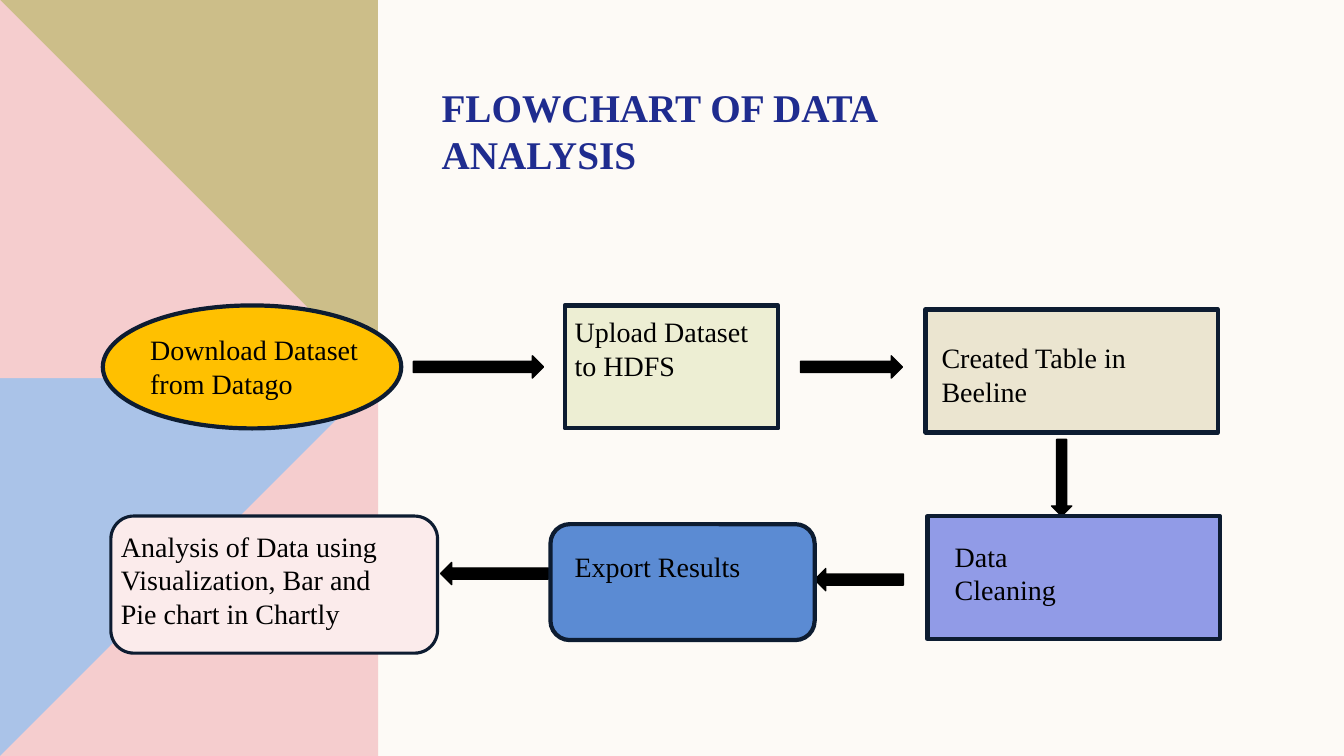
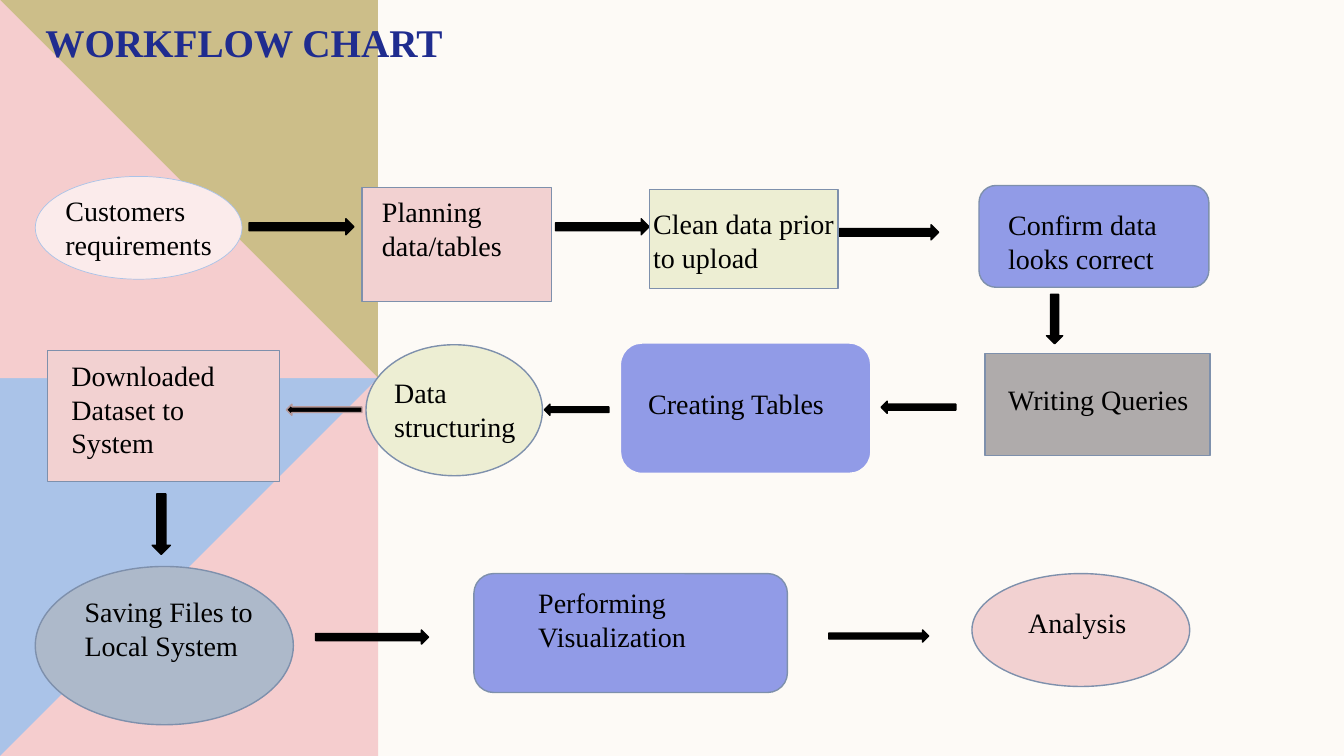
from pptx import Presentation
from pptx.dml.color import RGBColor
from pptx.enum.shapes import MSO_SHAPE as KIND
from pptx.enum.text import MSO_ANCHOR, PP_ALIGN
from pptx.util import Inches, Pt

FONT = "Times New Roman"
HEX = {
    "paper": "FDFAF6", "sky": "AAC3E8", "rose": "F5CDCE", "olive": "CCBE89",
    "title": "1F2C8F", "black": "000000", "navy": "0D1C31", "slate": "7E90AC",
    "gold": "FFC000", "lime": "EDEED3", "sand": "EBE5D0", "violet": "919BE7",
    "blue": "5B8BD3", "blush": "FBEBEB", "pink": "F2D1D1", "gray": "AFABAB",
    "steel": "ADB9CA", "brown": "B59898",
}
ARROWS = {"right": KIND.RIGHT_ARROW, "left": KIND.LEFT_ARROW,
          "down": KIND.DOWN_ARROW}
OVAL, RECT, ROUND = KIND.OVAL, KIND.RECTANGLE, KIND.ROUNDED_RECTANGLE


def rgb(name):
    return RGBColor.from_string(HEX[name])


def inches(box):
    return [Inches(n) for n in box]


def paint(shape, fill, line=None, width=1):
    shape.shadow.inherit = False
    shape.fill.solid()
    shape.fill.fore_color.rgb = rgb(fill)
    if line:
        shape.line.color.rgb = rgb(line)
        shape.line.width = Pt(width)
    else:
        shape.line.fill.background()


def style(frame, size, color, bold=False):
    frame.word_wrap = True
    frame.vertical_anchor = MSO_ANCHOR.TOP
    for para in frame.paragraphs:
        para.alignment = PP_ALIGN.LEFT
        for run in para.runs:
            run.font.name = FONT
            run.font.size = Pt(size)
            run.font.bold = bold
            run.font.color.rgb = rgb(color)


def panel(slide, layout, side):
    """Put the band of triangles, two squares high, behind all slides."""
    low = 2 * side
    parts = [
        ("sky", [(0, side), (side, side), (side, low), (0, low)]),
        ("rose", [(side, side), (side, low), (0, low)]),
        ("olive", [(0, 0), (side, 0), (side, side), (0, side)]),
        ("rose", [(0, 0), (side, side), (0, side)]),
    ]
    for spot, (fill, points) in enumerate(parts, 2):
        start, *rest = [inches(point) for point in points]
        path = slide.shapes.build_freeform(*start)
        path.add_line_segments(rest)
        shape = path.convert_to_shape()
        paint(shape, fill)
        layout.shapes.element.insert(spot, shape.element)


def head(slide, text, box):
    title = slide.shapes.title
    title.left, title.top, title.width, title.height = inches(box)
    title.text_frame.text = text
    style(title.text_frame, 28, "title", True)


def arrow(slide, way, box, line="black"):
    shape = slide.shapes.add_shape(ARROWS[way], *inches(box))
    paint(shape, "black", line)


def step(slide, kind, box, fill, line, text, label):
    """Draw a node; label is the text's offset from it, width and height."""
    shape = slide.shapes.add_shape(kind, *inches(box))
    paint(shape, fill, *line)
    left, top = box[:2]
    across, down, wide, high = label
    area = (left + across, top + down, wide, high)
    frame = slide.shapes.add_textbox(*inches(area)).text_frame
    frame.text = text
    style(frame, 20, "black")


def chart(slide, title, box, arrows, steps):
    head(slide, title, box)
    for item in arrows:
        arrow(slide, *item)
    for item in steps:
        step(slide, *item)


def main():
    deck = Presentation()
    deck.slide_width, deck.slide_height = Inches(13.33), Inches(7.5)
    layout = deck.slide_layouts[5]
    layout.background.fill.solid()
    layout.background.fill.fore_color.rgb = rgb("paper")
    first, second = [deck.slides.add_slide(layout) for _ in range(2)]
    panel(first, layout, 3.75)

    bold, thin = ("navy", 3), ("slate", 1)
    chart(first, "FLOWCHART OF DATA ANALYSIS", (4.28, 0.78, 6.43, 1.22), [
        ("right", (4.1, 3.53, 1.29, 0.22)),
        ("right", (7.94, 3.53, 1.01, 0.22)),
        ("down", (10.43, 4.36, 0.2, 0.76)),
        ("left", (8.08, 5.64, 0.88, 0.22)),
        ("left", (4.37, 5.58, 1.07, 0.22)),
    ], [
        (OVAL, (1.02, 3.03, 2.96, 1.22), "gold", bold,
         "Download Dataset from Datago", (0.37, 0.22, 2.35, 0.77)),
        (RECT, (5.6, 3.03, 2.12, 1.22), "lime", bold,
         "Upload Dataset to HDFS", (0, 0.04, 1.99, 0.77)),
        (RECT, (9.18, 3.07, 2.9, 1.22), "sand", bold,
         "Created Table in Beeline", (0.06, 0.26, 2.73, 0.77)),
        (RECT, (9.2, 5.12, 2.9, 1.22), "violet", bold,
         "Data\nCleaning", (0.17, 0.18, 2.42, 0.77)),
        (ROUND, (5.46, 5.2, 2.62, 1.15), "blue", bold,
         "Export Results", (0.14, 0.2, 2.01, 0.44)),
        (ROUND, (1.1, 5.12, 3.24, 1.36), "blush", ("navy", 2.25),
         "Analysis of Data using Visualization, Bar and Pie chart in Chartly",
         (0, 0.08, 3.01, 1.11)),
    ])

    chart(second, "WORKFLOW CHART", (0.35, 0.13, 11.47, 1.19), [
        ("right", (2.47, 2.17, 1.04, 0.16)),
        ("right", (5.51, 2.17, 0.93, 0.16)),
        ("right", (8.31, 2.23, 1, 0.15)),
        ("down", (10.38, 2.92, 0.16, 0.49)),
        ("left", (8.74, 3.98, 0.74, 0.12)),
        ("left", (5.4, 4.01, 0.64, 0.11)),
        ("left", (2.84, 4.01, 0.75, 0.11), "brown"),
        ("down", (1.51, 4.9, 0.18, 0.6)),
        ("right", (3.13, 6.25, 1.12, 0.14)),
        ("right", (8.22, 6.25, 0.99, 0.12)),
    ], [
        (OVAL, (0.35, 1.75, 2.05, 1.02), "blush", ("sky", 0.5),
         "Customers requirements", (0.2, 0.12, 1.8, 0.77)),
        (RECT, (3.59, 1.86, 1.88, 1.13), "pink", thin,
         "Planning data/tables", (0.1, 0.02, 1.55, 0.77)),
        (RECT, (6.44, 1.88, 1.87, 0.98), "lime", thin,
         "Clean data prior to upload", (-0.06, 0.12, 2.24, 0.77)),
        (ROUND, (9.71, 1.84, 2.28, 1.01), "violet", thin,
         "Confirm data looks correct", (0.19, 0.17, 2.15, 0.77)),
        (RECT, (9.77, 3.51, 2.23, 1.01), "gray", thin,
         "Writing Queries", (0.13, 0.24, 2.07, 0.44)),
        (ROUND, (6.15, 3.4, 2.49, 1.3), "violet", ("paper", 1.5),
         "Creating Tables", (0.18, 0.39, 2.03, 0.44)),
        (OVAL, (3.63, 3.42, 1.75, 1.3), "lime", thin,
         "Data structuring", (0.18, 0.26, 1.59, 0.77)),
        (RECT, (0.47, 3.48, 2.3, 1.3), "pink", thin,
         "Downloaded Dataset to System", (0.14, 0.03, 2.01, 1.11)),
        (OVAL, (0.35, 5.62, 2.56, 1.57), "steel", thin,
         "Saving Files to Local System", (0.39, 0.23, 1.88, 0.77)),
        (ROUND, (4.7, 5.69, 3.11, 1.18), "violet", thin,
         "Performing Visualization", (0.54, 0.07, 1.97, 0.77)),
        (OVAL, (9.64, 5.69, 2.16, 1.12), "pink", thin,
         "Analysis", (0.46, 0.27, 1.27, 0.44)),
    ])
    deck.save("out.pptx")


if __name__ == "__main__":
    main()
